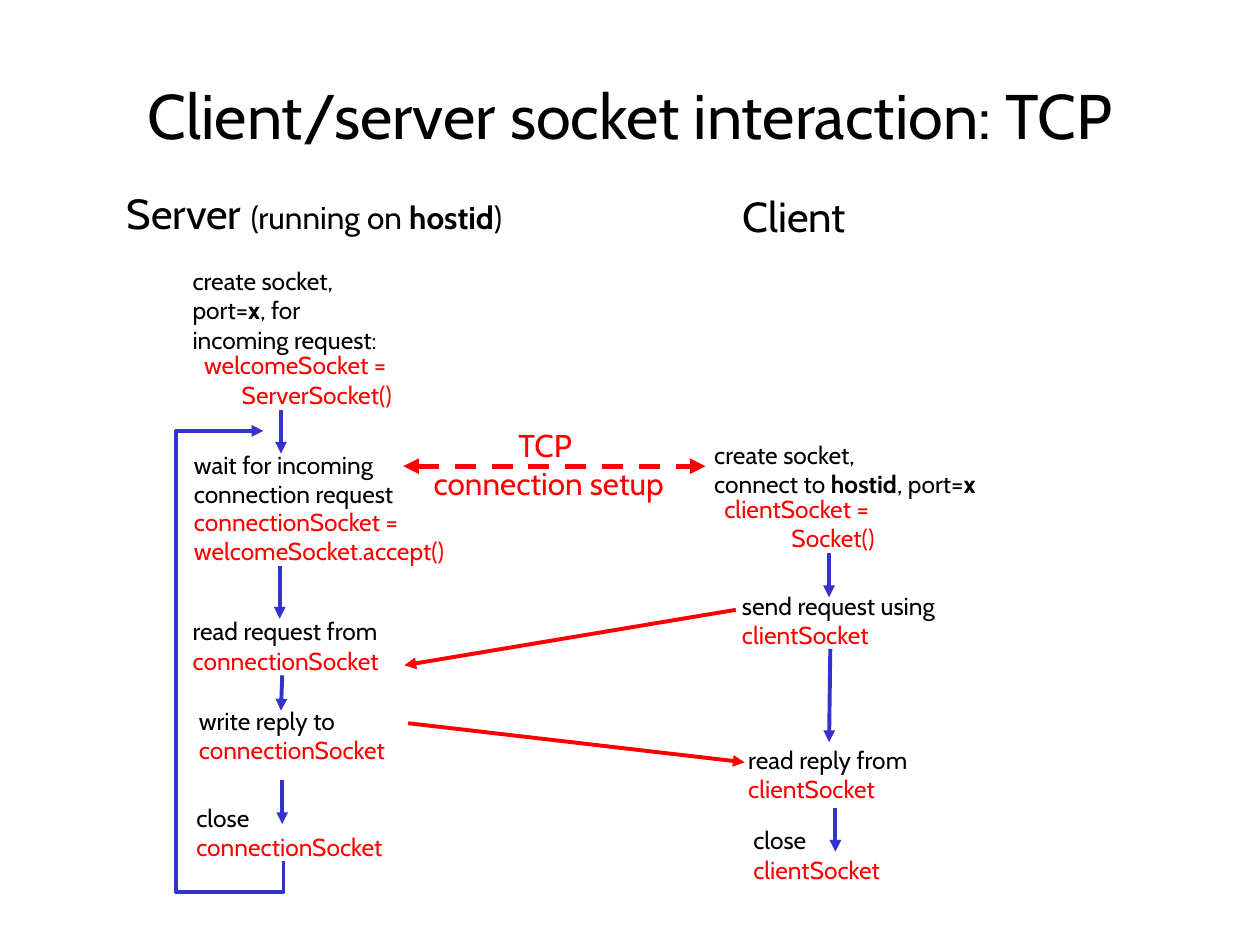
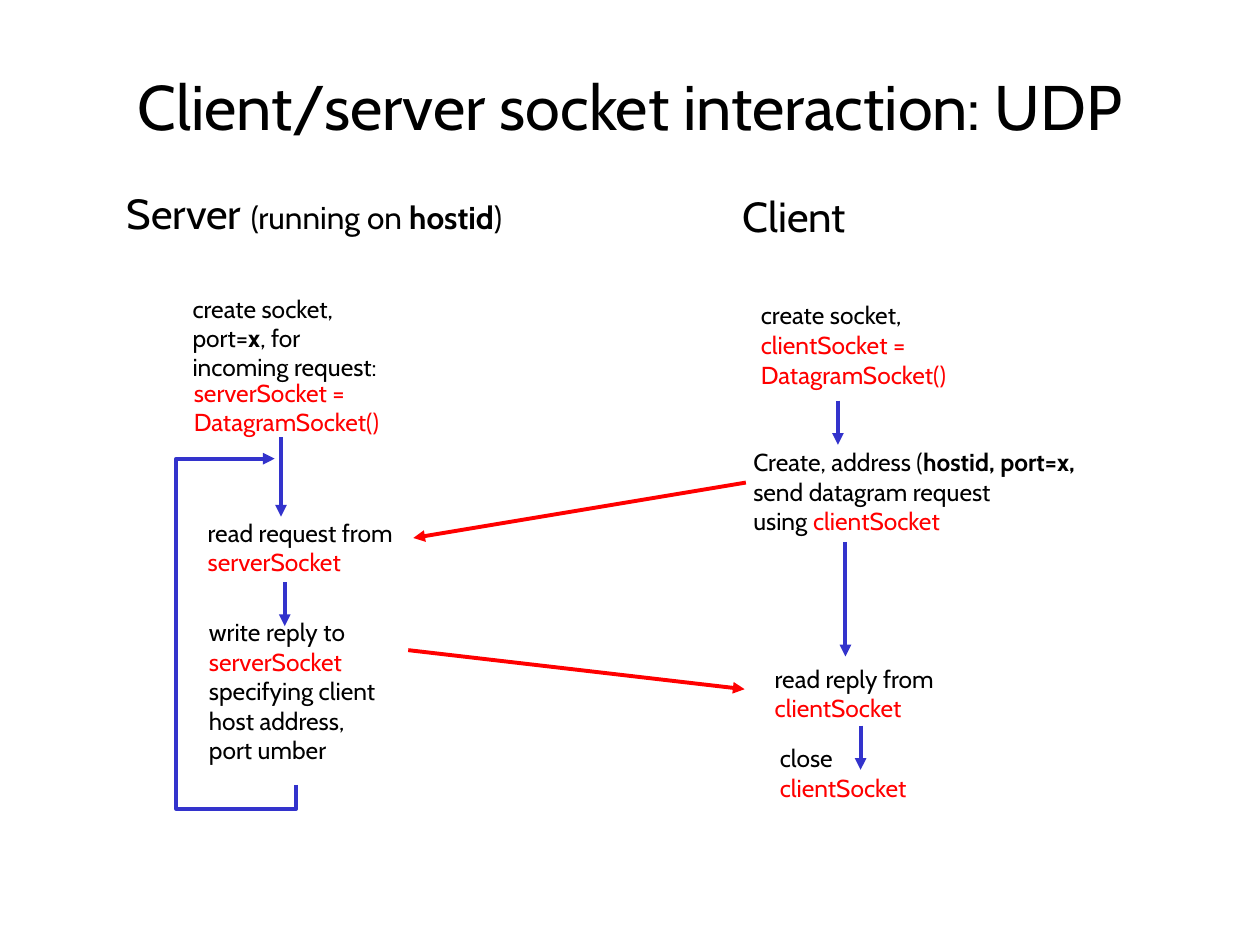
from pptx import Presentation
from pptx import util as u
from pptx.dml.color import RGBColor
from pptx.enum import dml, text
from pptx.oxml import parse_xml
from pptx.oxml.ns import nsdecls

INK, RED, BLUE = "000000", "FF0000", "3333CC"
FONT = "Cabin"
LEFT, MID, RIGHT = text.PP_ALIGN.LEFT, text.PP_ALIGN.CENTER, text.PP_ALIGN.RIGHT


def color(code):
    return RGBColor.from_string(code)


def red(words):
    return {"words": words, "hue": RED}


def bold(words):
    return {"words": words, "bold": True}


def big(words):
    return {"words": words, "size": 24}


class Deck:
    def __init__(self):
        self.show = Presentation()
        self.show.slide_width = u.Inches(10)
        self.show.slide_height = u.Inches(7.5)
        self.slide = None

    def page(self, title, x, y, w):
        self.slide = self.show.slides.add_slide(self.show.slide_layouts[5])
        head = self.slide.shapes.title
        head.left, head.top = u.Inches(x), u.Inches(y)
        head.width, head.height = u.Inches(w), u.Inches(1.25)
        self.fill(head.text_frame, [[title]], 36, MID)

    def run(self, para, words, size, hue=INK, bold=False):
        part = para.add_run()
        part.text = words
        font = part.font
        font.name, font.size, font.bold = FONT, u.Pt(size), bold
        font.color.rgb = color(hue)

    def fill(self, frame, lines, size, align):
        frame.vertical_anchor = text.MSO_ANCHOR.MIDDLE
        for i, line in enumerate(lines):
            para = frame.add_paragraph() if i else frame.paragraphs[0]
            para.alignment = align
            for item in line:
                look = {"words": item} if isinstance(item, str) else item
                self.run(para, **{"size": size, **look})

    def note(self, x, y, w, *lines, size=14, align=LEFT, tall=None):
        high = 0.1 + len(lines) * (tall or size) / 60
        box = self.slide.shapes.add_textbox(*map(u.Inches, (x, y, w, high)))
        box.text_frame.word_wrap = False
        box.text_frame.auto_size = text.MSO_AUTO_SIZE.SHAPE_TO_FIT_TEXT
        self.fill(box.text_frame, lines, size, align)

    def step(self, x, y, w, task, name):
        self.note(x, y, w, [task], [red(name)])

    def code(self, x, y, w, *lines, align=LEFT):
        self.note(x, y, w, *[[red(line)] for line in lines], align=align)

    def ink(self, shape, hue, wide, ends=("tail",), dash=False):
        shape.line.color.rgb = color(hue)
        shape.line.width = u.Pt(wide)
        if dash:
            shape.line.dash_style = dml.MSO_LINE.DASH
        edge = shape._element.spPr.get_or_add_ln()
        for end in ends:
            edge.append(parse_xml(f'<a:{end}End {nsdecls("a")} type="triangle"/>'))

    def arrow(self, x1, y1, x2, y2, hue=BLUE, wide=2.25, **look):
        line = self.slide.shapes.add_connector(1, *map(u.Inches, (x1, y1, x2, y2)))
        self.ink(line, hue, wide, **look)
        line._element.spPr.append(parse_xml(f'<a:effectLst {nsdecls("a")}/>'))

    def down(self, x, y, gap=0.35):
        self.arrow(x, y, x, y + gap)

    def loop(self, right, start, base, top, tip):
        spots = [(right, base), (1.4, base), (1.4, top), (tip, top)]
        pen = self.slide.shapes.build_freeform(u.Inches(right), u.Inches(start))
        pen.add_line_segments(
            [(u.Inches(x), u.Inches(y)) for x, y in spots], close=False)
        path = pen.convert_to_shape()
        path.fill.background()
        path.shadow.inherit = False
        self.ink(path, BLUE, 2.25)

    def sides(self):
        self.note(0.75, 1.44, 3.49,
                  [big("Server "), "(running on ", bold("hostid"), ")"],
                  size=18, align=MID, tall=24)
        self.note(5.79, 1.46, 1.03, ["Client"], size=24, align=MID)

    def port(self, y):
        self.note(1.43, y, 1.74, ["create socket,"],
                  ["port=", bold("x"), ", for"], ["incoming request:"])


def tcp(deck):
    deck.page("Client/server socket interaction: TCP", 0.75, 0.28, 8.5)
    deck.sides()

    deck.port(2.06)
    deck.code(1.43, 2.73, 1.78, "welcomeSocket = ", "ServerSocket()", align=RIGHT)
    deck.down(2.23, 3.25)
    deck.note(1.44, 3.52, 1.83, ["wait for incoming"], ["connection request"])
    deck.code(1.44, 3.97, 2.29, "connectionSocket =", "welcomeSocket.accept()")
    deck.down(2.22, 4.49, 0.42)
    deck.step(1.43, 4.84, 1.75, "read request from", "connectionSocket")
    deck.arrow(2.24, 5.36, 2.23, 5.64)
    deck.step(1.48, 5.55, 1.7, "write reply to", "connectionSocket")
    deck.down(2.24, 6.19)
    deck.step(1.46, 6.32, 1.7, "close", "connectionSocket")
    deck.loop(2.25, 6.83, 7.08, 3.42, 2.09)

    deck.note(5.57, 3.44, 2.49, ["create socket,"],
              ["connect to ", bold("hostid"), ", port=", bold("x")])
    deck.code(5.55, 3.87, 1.49, "clientSocket = ", "Socket()", align=RIGHT)
    deck.down(6.58, 4.39)
    deck.step(5.79, 4.64, 1.82, "send request using", "clientSocket")
    deck.arrow(6.59, 5.15, 6.58, 5.89)
    deck.step(5.84, 5.86, 1.53, "read reply from", "clientSocket")
    deck.down(6.63, 6.41)
    deck.step(5.88, 6.5, 1.22, "close", "clientSocket")

    deck.arrow(5.84, 4.84, 3.21, 5.28, RED)
    deck.arrow(3.24, 5.74, 5.91, 6.05, RED)
    deck.arrow(3.2, 3.7, 5.6, 3.7, RED, 3, ends=("head", "tail"), dash=True)
    deck.note(3.32, 3.33, 2.07, [red("TCP ")], [red("connection setup")],
              size=18, align=MID)


def udp(deck):
    deck.page("Client/server socket interaction: UDP", 0.43, 0.21, 9.14)
    deck.sides()

    deck.port(2.28)
    deck.code(1.44, 2.95, 1.76, "serverSocket =", "DatagramSocket()")
    deck.down(2.23, 3.47, 0.63)
    deck.step(1.55, 4.06, 1.75, "read request from", "serverSocket")
    deck.down(2.26, 4.62)
    deck.note(1.56, 4.85, 1.57, ["write reply to"], [red("serverSocket")],
              ["specifying client"], ["host address,"], ["port umber"])
    deck.loop(2.35, 6.23, 6.42, 3.64, 2.18)

    deck.note(5.94, 2.33, 1.41, ["create socket,"])
    deck.code(5.94, 2.57, 1.76, "clientSocket =", "DatagramSocket()")
    deck.down(6.65, 3.18)
    deck.note(5.88, 3.5, 3.15, ["Create, address (", bold("hostid, port=x,")],
              ["send datagram request"], ["using ", red("clientSocket")])
    deck.down(6.71, 4.3, 0.91)
    deck.step(6.05, 5.22, 1.53, "read reply from", "clientSocket")
    deck.down(6.83, 5.76)
    deck.step(6.09, 5.85, 1.22, "close", "clientSocket")

    deck.arrow(5.92, 3.83, 3.28, 4.27, RED)
    deck.arrow(3.24, 5.16, 5.91, 5.47, RED)


def main():
    deck = Deck()
    tcp(deck)
    udp(deck)
    deck.show.save("out.pptx")


if __name__ == "__main__":
    main()
